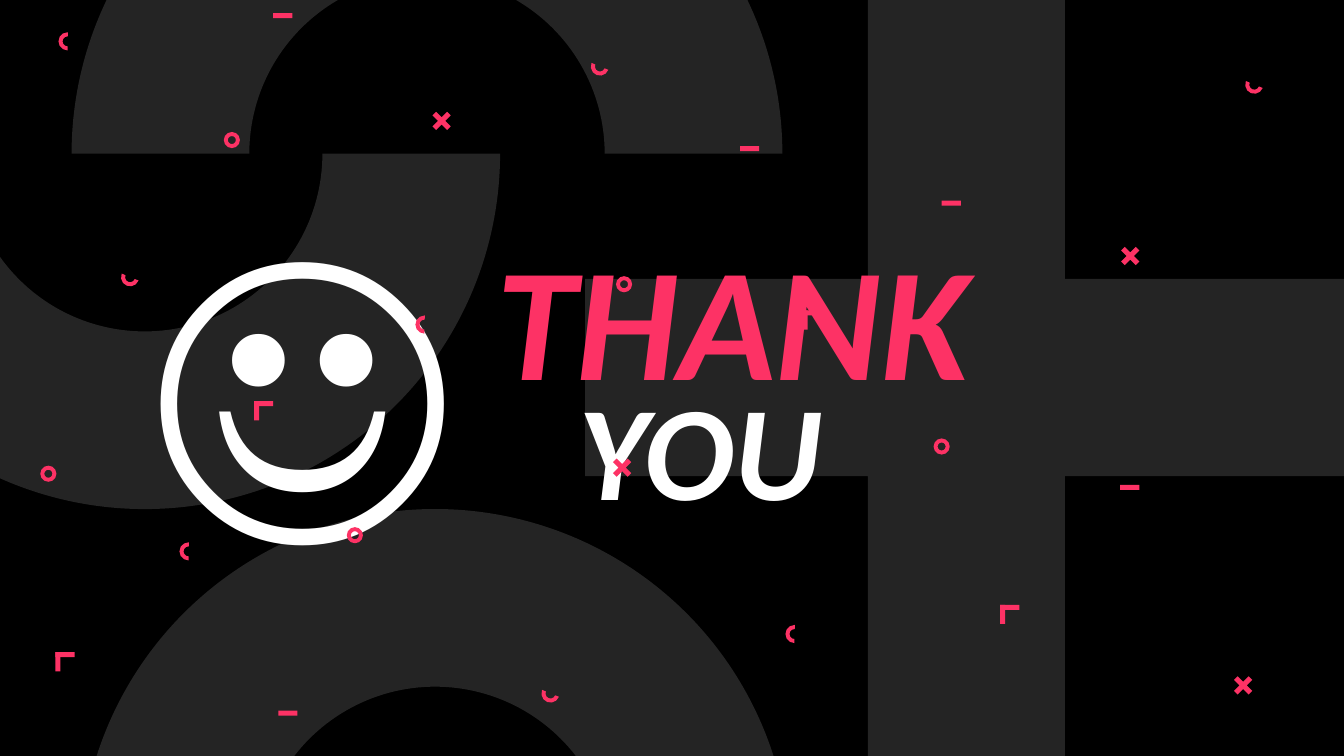
import pptx
import pptx.dml.color
import pptx.enum.shapes
import pptx.enum.text
import pptx.oxml.ns
import pptx.util
from lxml import etree

Inches = pptx.util.Inches
MSO = pptx.enum.shapes.MSO_SHAPE
ALIGN = pptx.enum.text.PP_ALIGN

COLORS = {"black": "000000", "white": "FFFFFF", "pale": "F2F2F2", "pink": "FD3265"}
FONT = "Calibri"
SLIDE_W, SLIDE_H = 13.33, 7.5
VEIL_OPACITY = 85

# Large forms: left, top
ARC_SIZE = 7.05
ARCS_UP = [(0.71, -2), (0.79, 5.05)]
ARC_DOWN = (-2.09, -2)
PLUS_SIZE = 10.29
PLUS = (4.44, -1.4)

# Confetti: left, top of each mark
CROSSES = [(6.03, 4.5), (12.19, 6.66), (4.24, 1.06), (11.07, 2.4)]
RINGS = [(9.26, 4.35), (6.11, 2.74), (0.4, 4.62), (2.22, 1.31), (3.44, 5.23)]
DASHES = [(9.34, 1.99), (11.11, 4.81), (7.34, 1.45), (2.76, 7.05), (2.71, 0.13)]
CORNERS = [(7.96, 3.08), (9.92, 6), (0.55, 6.47), (2.52, 3.98)]
LEFT_ARCS = [(4.12, 3.13), (1.78, 5.38), (7.79, 6.2), (0.58, 0.32)]
LOW_ARCS = [(5.37, 6.79), (1.2, 2.66), (5.86, 0.57), (12.35, 0.75)]
DASH_W, DASH_H = 0.19, 0.05
SMALL_ARC = (108, 1.55, 0.224)

# kind, places, width, height, rotation, adjustments
MARKS = [
    (MSO.MATH_PLUS, CROSSES, 0.28, 0.28, 45, (0.179,)),
    (MSO.DONUT, RINGS, 0.16, 0.16, 0, ()),
    (MSO.RECTANGLE, DASHES + CORNERS, DASH_W, DASH_H, 0, ()),
    (MSO.RECTANGLE, [(x - 0.07, y + 0.07) for x, y in CORNERS],
     DASH_W, DASH_H, 270, ()),
    (MSO.BLOCK_ARC, LEFT_ARCS, 0.18, 0.18, 270, SMALL_ARC),
    (MSO.BLOCK_ARC, LOW_ARCS, 0.18, 0.18, 201.1, SMALL_ARC),
]


def rgb(name):
    return pptx.dml.color.RGBColor.from_string(COLORS[name])


def add_form(shapes, kind, x, y, w, h, color, rotation=0, adjust=()):
    sp = shapes.add_shape(kind, Inches(x), Inches(y), Inches(w), Inches(h))
    sp.shadow.inherit = False
    sp.fill.solid()
    sp.fill.fore_color.rgb = rgb(color)
    sp.line.fill.background()
    sp.rotation = rotation
    for i, value in enumerate(adjust):
        sp.adjustments[i] = value
    return sp


def set_opacity(sp, percent):
    clr = sp.fill._xPr.find(".//" + pptx.oxml.ns.qn("a:srgbClr"))
    etree.SubElement(clr, pptx.oxml.ns.qn("a:alpha"), val=str(percent * 1000))


def add_text(shapes, text, x, y, w, h, size, color, bold=False, italic=False,
             align=ALIGN.LEFT, indent=0):
    box = shapes.add_textbox(Inches(x), Inches(y), Inches(w), Inches(h))
    tf = box.text_frame
    tf.word_wrap = True
    tf.auto_size = pptx.enum.text.MSO_AUTO_SIZE.SHAPE_TO_FIT_TEXT
    tf.margin_left = Inches(0.1 + indent)
    p = tf.paragraphs[0]
    p.alignment = align
    r = p.add_run()
    r.text = text
    r.font.name = FONT
    r.font.size = pptx.util.Pt(size)
    r.font.bold, r.font.italic = bold, italic
    r.font.color.rgb = rgb(color)


def main():
    prs = pptx.Presentation()
    prs.slide_width, prs.slide_height = Inches(SLIDE_W), Inches(SLIDE_H)
    s = prs.slides.add_slide(prs.slide_layouts[6])
    s.background.fill.solid()
    s.background.fill.fore_color.rgb = rgb("black")

    backdrop = s.shapes.add_group_shape().shapes
    for (x, y), rotation in [(a, 0) for a in ARCS_UP] + [(ARC_DOWN, 180)]:
        add_form(backdrop, MSO.BLOCK_ARC, x, y, ARC_SIZE, ARC_SIZE, "pale", rotation)
    add_form(backdrop, MSO.MATH_PLUS, *PLUS, PLUS_SIZE, PLUS_SIZE, "pale",
             adjust=(0.19,))

    veil = add_form(s.shapes, MSO.RECTANGLE, 0, 0, SLIDE_W, SLIDE_H, "black")
    set_opacity(veil, VEIL_OPACITY)

    add_text(s.shapes, "YOU", 4.64, 3.58, 9.3, 1.72, 96, "white",
             bold=True, italic=True, indent=1)
    add_text(s.shapes, "THANK", 4.83, 2.13, 7.36, 2.04, 115, "pink",
             bold=True, italic=True)
    add_text(s.shapes, "☺", 0.1, 1.56, 5.8, 4.17, 242, "white", align=ALIGN.CENTER)

    confetti = s.shapes.add_group_shape().shapes
    for kind, places, w, h, rotation, adjust in MARKS:
        for x, y in places:
            add_form(confetti, kind, x, y, w, h, "pink", rotation, adjust)

    prs.save("out.pptx")


if __name__ == "__main__":
    main()
